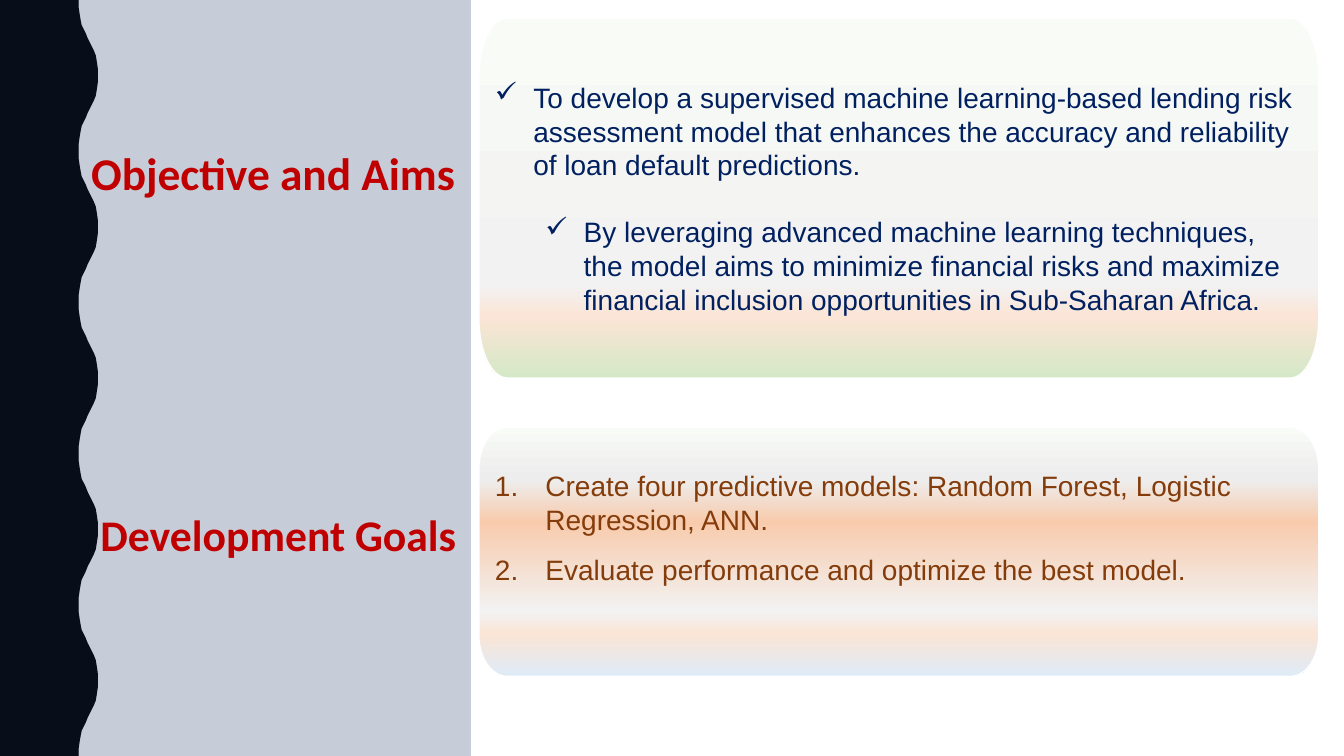
from math import cos, sin, radians
from lxml import etree
from pptx import Presentation
from pptx.dml.color import RGBColor
from pptx.enum.shapes import MSO_SHAPE
from pptx.enum.text import MSO_ANCHOR, MSO_AUTO_SIZE, PP_ALIGN
from pptx.oxml.ns import qn
from pptx.util import Inches, Pt


def rgb(hex_color):
    return RGBColor.from_string(hex_color)


def paint(sp, color, opacity=100):
    sp.shadow.inherit = False
    sp.line.fill.background()
    sp.fill.solid()
    sp.fill.fore_color.rgb = rgb(color)
    if opacity < 100:
        clr = sp.element.spPr.find(qn("a:solidFill"))[0]
        etree.SubElement(clr, qn("a:alpha"), val=str(opacity * 1000))


prs = Presentation()
prs.slide_width, prs.slide_height = Inches(13.33), Inches(7.5)
s = prs.slides.add_slide(prs.slide_layouts[5])

# Left panel: white base under a translucent navy tint
for color, opacity in [("FFFFFF", 100), ("203864", 25)]:
    panel = s.shapes.add_shape(MSO_SHAPE.RECTANGLE, 0, 0, Inches(4.67), Inches(7.5))
    paint(panel, color, opacity)

# Headings
title = s.shapes.title
panel.element.addnext(title.element)
goals = s.shapes.add_textbox(0, 0, Inches(1), Inches(1))
headings = [
    (title, 0.67, 1.2, "Objective and Aims", 32.4),
    (goals, 0.72, 4.79, "Development Goals", 31.2),
]
for sp, left, top, text, size in headings:
    sp.left, sp.top = Inches(left), Inches(top)
    sp.width, sp.height = Inches(4.08), Inches(1.08)
    tf = sp.text_frame
    tf.word_wrap = True
    tf.auto_size = MSO_AUTO_SIZE.NONE
    tf.vertical_anchor = MSO_ANCHOR.MIDDLE
    p = tf.paragraphs[0]
    p.alignment = PP_ALIGN.CENTER
    p.line_spacing = 0.9
    r = p.add_run()
    r.text = text
    r.font.name, r.font.size, r.font.bold = "Calibri", Pt(size), True
    r.font.color.rgb = rgb("C00000")

# Wavy dark edge: five waves, each a half wave and its mirror
half = [(0, 0), (0, 0.07), (0.01, 0.14), (0.02, 0.2), (0.03, 0.25), (0.05, 0.29),
        (0.07, 0.33), (0.09, 0.38), (0.11, 0.42), (0.13, 0.46), (0.15, 0.5),
        (0.17, 0.55), (0.18, 0.61), (0.19, 0.68), (0.19, 0.75)]
wave = half + [(x, 1.5 - y) for x, y in half[-2::-1]]
edge = [(Inches(0.78 + x), Inches(1.5 * n + y)) for n in range(5) for x, y in wave]
for color, opacity in [("000000", 100), ("203864", 25)]:
    fb = s.shapes.build_freeform(0, 0)
    fb.add_line_segments(edge + [(0, Inches(7.5))], close=True)
    paint(fb.convert_to_shape(), color, opacity)

# Cards: top, height, corner height, gradient, anchor, top inset, text colour,
# bullet tag and attributes, hanging indent, spacing before, paragraphs
cards = [
    (0.18, 3.57, 0.59,
     [(0, "F8FBF6"), (74, "F2F2F2"), (83, "FBE5D6"), (100, "D4E8C6")],
     MSO_ANCHOR.MIDDLE, 0.16, "002060", "a:buChar", {"char": "✓"}, 0.38, 12,
     [(0, "To develop a supervised machine learning-based lending risk assessment "
          "model that enhances the accuracy and reliability of loan default predictions."),
      (1, "By leveraging advanced machine learning techniques, the model aims to "
          "minimize financial risks and maximize financial inclusion opportunities "
          "in Sub-Saharan Africa.")]),
    (4.24, 2.47, 0.41,
     [(0, "F8FBF6"), (21, "EDEDED"), (38, "F8CBAD"), (74, "F2F2F2"),
      (83, "FBE5D6"), (100, "DEEBF7")],
     MSO_ANCHOR.TOP, 0.41, "843C0B", "a:buAutoNum", {"type": "arabicPeriod"}, 0.5, 0,
     [(0, "Create four predictive models: Random Forest, Logistic Regression, ANN."),
      (0, "Evaluate performance and optimize the best model.")]),
]
left, right, rx = 4.75, 13.08, 0.28
for (top, height, ry, stops, anchor, inset, color, tag, bullet, hang, before,
     paragraphs) in cards:
    # Outline with elliptical corners, clockwise from the top left
    bottom = top + height
    corners = [(left + rx, top + ry, 180), (right - rx, top + ry, 270),
               (right - rx, bottom - ry, 0), (left + rx, bottom - ry, 90)]
    points = [(Inches(cx + rx * cos(radians(start + a))),
               Inches(cy + ry * sin(radians(start + a))))
              for cx, cy, start in corners for a in range(0, 91, 6)]
    fb = s.shapes.build_freeform(*points[0])
    fb.add_line_segments(points[1:], close=True)
    sp = fb.convert_to_shape()
    sp.shadow.inherit = False
    sp.line.color.rgb, sp.line.width = rgb("FFFFFF"), Pt(1)

    # Vertical gradient
    sp.fill.gradient()
    sp.fill.gradient_angle = 270
    gs_list = sp.element.spPr.find(qn("a:gradFill")).find(qn("a:gsLst"))
    for gs in list(gs_list):
        gs_list.remove(gs)
    for pos, stop in stops:
        gs = etree.SubElement(gs_list, qn("a:gs"), pos=str(pos * 1000))
        etree.SubElement(gs, qn("a:srgbClr"), val=stop)

    # List
    tf = sp.text_frame
    tf.word_wrap = True
    tf.vertical_anchor = anchor
    tf.margin_left = tf.margin_right = tf.margin_bottom = Inches(0.16)
    tf.margin_top = Inches(inset)
    for i, (level, text) in enumerate(paragraphs):
        p = tf.add_paragraph() if i else tf.paragraphs[0]
        p.alignment = PP_ALIGN.LEFT
        p.level = level
        p.space_before, p.space_after = Pt(before), Pt(12)
        pPr = p._p.get_or_add_pPr()
        pPr.set("marL", str(Inches(hang + 0.5 * level)))
        pPr.set("indent", str(-Inches(hang)))
        etree.SubElement(pPr, qn(tag), bullet)
        r = p.add_run()
        r.text = text
        r.font.name, r.font.size = "Arial", Pt(20)
        r.font.color.rgb = rgb(color)

prs.save("out.pptx")
